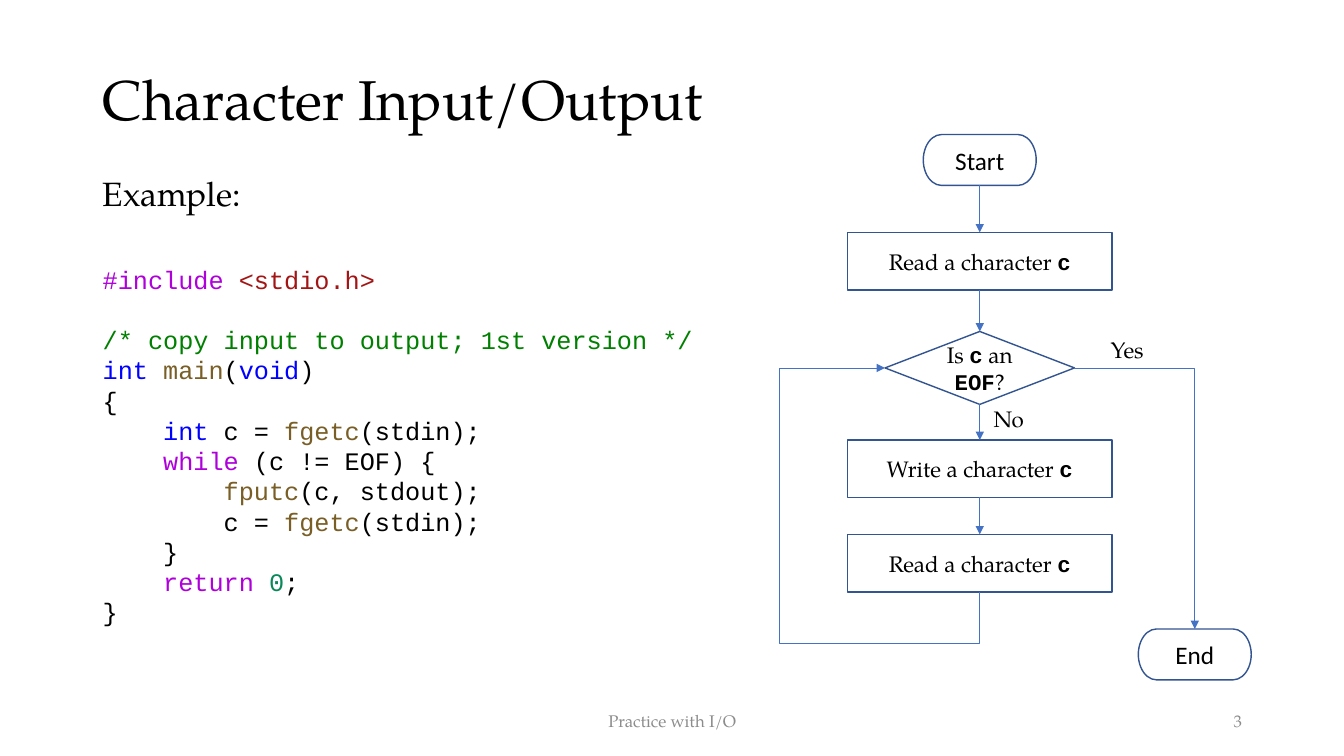
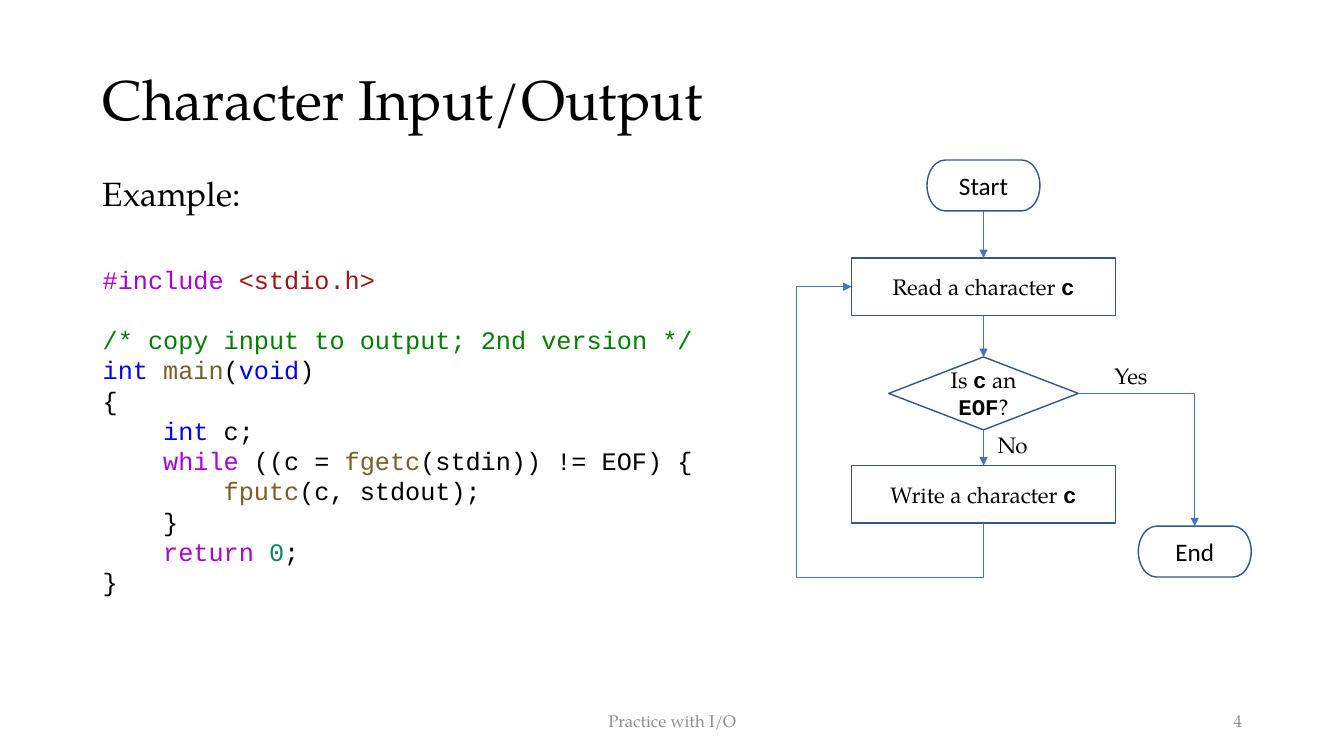
from itertools import pairwise
from lxml.etree import SubElement
from pptx import Presentation
from pptx.dml.color import RGBColor
from pptx.enum.shapes import MSO_CONNECTOR, MSO_SHAPE
from pptx.enum.text import MSO_ANCHOR, PP_ALIGN
from pptx.oxml.ns import qn
from pptx.util import Inches, Pt

COLORS = {
    "text": "000000", "footer": "8C8C8C", "outline": "325491", "arrow": "4472C4",
    "control": "AF00DB", "header": "A31515", "comment": "008000",
    "type": "0000FF", "function": "795E26", "number": "09885A",
}
SERIF, SANS, MONO = "TeX Gyre Pagella", "Calibri", "Courier New"
WIDTH, HEIGHT = Inches(13.33), Inches(7.5)
MARGIN = 6.9
TAB = "\u00a0" * 4
TOP, LEFT, BOTTOM, RIGHT = range(4)
CODE_PITCH = 21.6


def col(n):
    return round(WIDTH * n / 100)


def row(n):
    return round(HEIGHT * n / 100)


def rgb(name):
    return RGBColor.from_string(COLORS[name])


def tint(text, color):
    return text, {"color": color}


def mono(text):
    return text, {"font": MONO, "bold": True}


def add_run(p, text, font=SERIF, size=16, color="text", bold=False):
    r = p.add_run()
    r.text = text
    r.font.name, r.font.size, r.font.bold = font, Pt(size), bold
    r.font.color.rgb = rgb(color)


def write(tf, lines, align=PP_ALIGN.LEFT, anchor=MSO_ANCHOR.TOP,
          spacing=None, after=0, **style):
    tf.word_wrap = True
    tf.vertical_anchor = anchor
    for i, line in enumerate(lines):
        p = tf.add_paragraph() if i else tf.paragraphs[0]
        p.alignment, p.space_after = align, Pt(after)
        if spacing:
            p.line_spacing = spacing
        for part in line:
            if part == "\n":
                p.add_line_break()
                continue
            text, own = (part, {}) if isinstance(part, str) else part
            add_run(p, text, **{**style, **own})


def add_text(s, x, y, w, h, lines, **style):
    sp = s.shapes.add_textbox(col(x), row(y), col(w), row(h))
    write(sp.text_frame, lines, **style)


def add_step(s, kind, center, y, w, h, parts, **style):
    sp = s.shapes.add_shape(kind, col(center - w / 2), row(y), col(w), row(h))
    sp.shadow.inherit = False
    sp.fill.background()
    sp.line.color.rgb = rgb("outline")
    sp.line.width = Pt(1)
    write(sp.text_frame, [parts], align=PP_ALIGN.CENTER,
          anchor=MSO_ANCHOR.MIDDLE, **style)
    return sp


def add_terminal(s, center, y, text):
    return add_step(s, MSO_SHAPE.FLOWCHART_TERMINATOR, center, y, 8.4, 6.73,
                    [text], font=SANS, size=18)


def add_process(s, center, y, verb):
    return add_step(s, MSO_SHAPE.FLOWCHART_PROCESS, center, y, 19.65, 7.6,
                    [f"{verb} a character ", mono("c")])


def add_decision(s, center, y):
    return add_step(s, MSO_SHAPE.FLOWCHART_DECISION, center, y, 14.1, 9.65,
                    ["Is ", mono("c"), " an ", mono("EOF"), "?"])


def add_arrow(s, start, start_site, end, end_site, preset=None):
    kind = MSO_CONNECTOR.ELBOW if preset else MSO_CONNECTOR.STRAIGHT
    c = s.shapes.add_connector(kind, 0, 0, 0, 0)
    c.begin_connect(start, start_site)
    c.end_connect(end, end_site)
    c.line.color.rgb = rgb("arrow")
    c.line.width = Pt(0.5)
    pr = c._element.spPr
    SubElement(pr.find(qn("a:ln")), qn("a:tailEnd"), type="triangle")
    SubElement(pr, qn("a:effectLst"))
    if preset:
        pr.find(qn("a:prstGeom")).set("prst", preset)
    return c


def add_loop(s, start, end, reach):
    c = add_arrow(s, start, BOTTOM, end, LEFT, "bentConnector4")
    dx, dy = c.begin_x - c.end_x, c.begin_y - c.end_y
    mid_x, mid_y = (c.begin_x + c.end_x) // 2, (c.begin_y + c.end_y) // 2
    c.left, c.top = mid_x - dy // 2, mid_y - dx // 2
    c.width, c.height = dy, dx
    pr = c._element.spPr
    xfrm = pr.find(qn("a:xfrm"))
    xfrm.attrib.pop("flipV", None)
    xfrm.set("flipH", "1")
    xfrm.set("rot", "5400000")
    guides = pr.find(qn("a:prstGeom")).find(qn("a:avLst"))
    for name, share in (("adj1", -0.23), ("adj2", reach)):
        SubElement(guides, qn("a:gd"), name=name, fmla=f"val {round(share * 100000)}")


def add_frame(s, number):
    footer = dict(size=12, color="footer", anchor=MSO_ANCHOR.MIDDLE)
    add_text(s, 33.15, 92.67, 33.75, 5.33, [["Practice with I/O"]],
             align=PP_ALIGN.CENTER, **footer)
    add_text(s, 70.65, 92.67, 22.5, 5.33, [[str(number)]],
             align=PP_ALIGN.RIGHT, **footer)
    add_text(s, MARGIN, 6, 86.25, 15, [["Character Input/Output"]],
             size=40, spacing=0.9, anchor=MSO_ANCHOR.MIDDLE)
    add_text(s, MARGIN, 22.27, 14.7, 6.67, [["Example:"]], size=24, after=12)


def add_code(s, version, body):
    lines = [
        [tint("#include ", "control"), tint("<stdio.h>", "header")],
        ["\n", tint(f"/* copy input to output; {version} version */", "comment")],
        [tint("int ", "type"), tint("main", "function"), "(", tint("void", "type"), ")"],
        ["{"],
        *body,
        [TAB + "}"],
        [TAB, tint("return ", "control"), tint("0", "number"), ";"],
        ["}"],
    ]
    solid = [[part.replace(" ", "\u00a0") if isinstance(part, str)
              else (part[0].replace(" ", "\u00a0"), part[1]) for part in line]
             for line in lines]
    add_text(s, MARGIN, 34.27, 47.85, 1.33 + 4.04 * (len(lines) + 1), solid,
             font=MONO, size=18, spacing=Pt(CODE_PITCH))


def add_flow(s, center, top, end_top, reach, read_again):
    start = add_terminal(s, center, top, "Start")
    read = add_process(s, center, top + 12.95, "Read")
    test_top = top + 26.05
    test = add_decision(s, center, test_top)
    steps = [start, read, test, add_process(s, center, top + 40.4, "Write")]
    if read_again:
        steps.append(add_process(s, center, top + 52.9, "Read"))
    end = add_terminal(s, 88.9, end_top, "End")
    for above, below in pairwise(steps):
        add_arrow(s, above, BOTTOM, below, TOP)
    add_arrow(s, test, RIGHT, end, TOP, "bentConnector2")
    add_loop(s, steps[-1], test if read_again else read, reach)
    add_text(s, center + 9, test_top, 5.1, 4.93, [["Yes"]])
    add_text(s, center + 0.3, test_top + 9.1, 5.1, 4.93, [["No"]])


def main():
    prs = Presentation()
    prs.slide_width, prs.slide_height = WIDTH, HEIGHT
    integer = tint("int", "type")
    loop = tint("while", "control")
    fgetc = tint("fgetc", "function")
    put = [TAB * 2, tint("fputc", "function"), "(c, stdout);"]
    first = [
        [TAB, integer, " c = ", fgetc, "(stdin);"],
        [TAB, loop, " (c != EOF) {"],
        put,
        [TAB * 2 + "c = ", fgetc, "(stdin);"],
    ]
    second = [
        [TAB, integer, " c;"],
        [TAB, loop, " ((c = ", fgetc, "(stdin)) != EOF) {"],
        put,
    ]
    flows = [
        ("1st", first, dict(center=72.9, top=17.8, end_top=83.2,
                            reach=2.11, read_again=True)),
        ("2nd", second, dict(center=73.18, top=21.17, end_top=69.6,
                             reach=1.42, read_again=False)),
    ]
    for number, (version, body, flow) in enumerate(flows, 3):
        s = prs.slides.add_slide(prs.slide_layouts[6])
        add_frame(s, number)
        add_code(s, version, body)
        add_flow(s, **flow)
    prs.save("out.pptx")


main()
